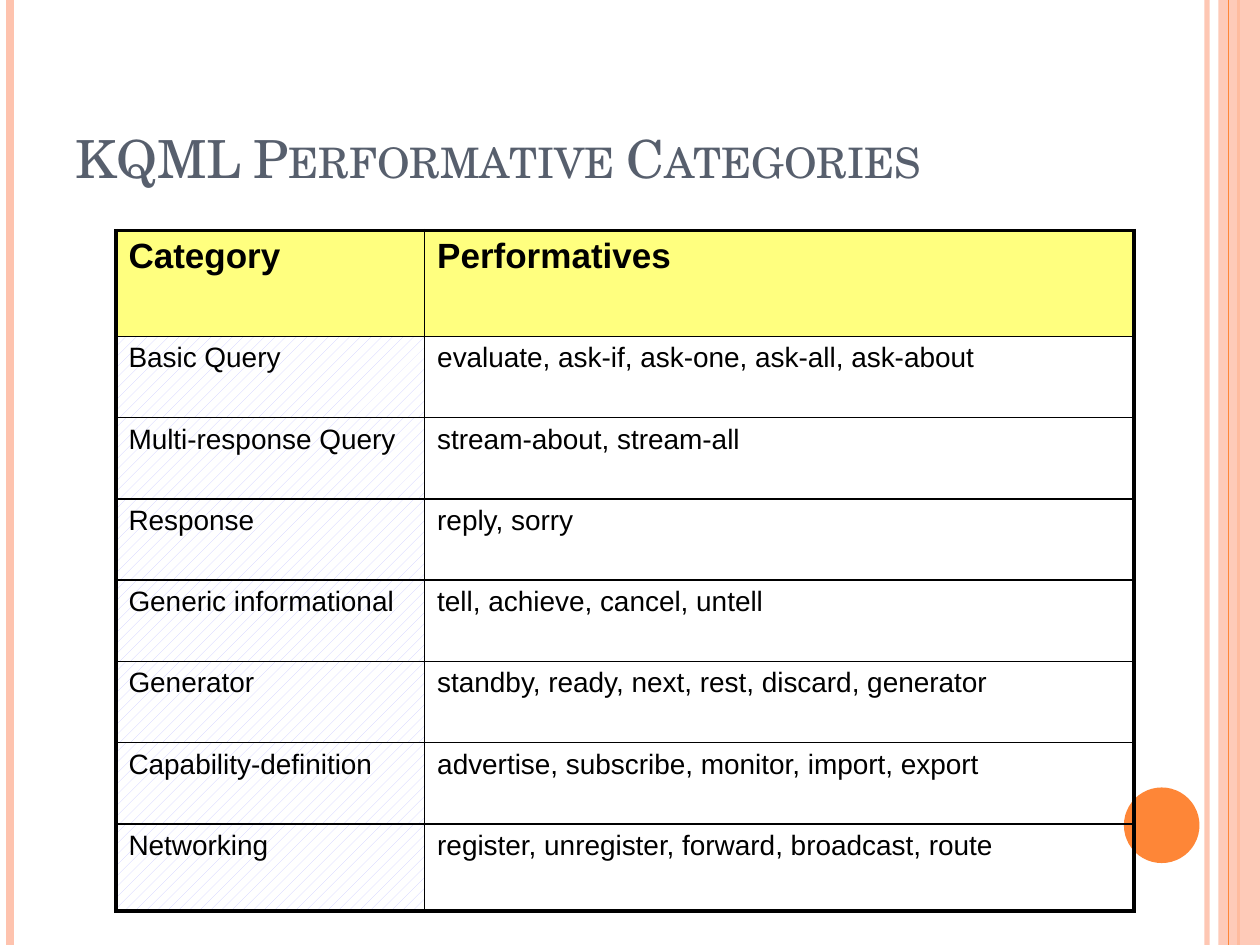
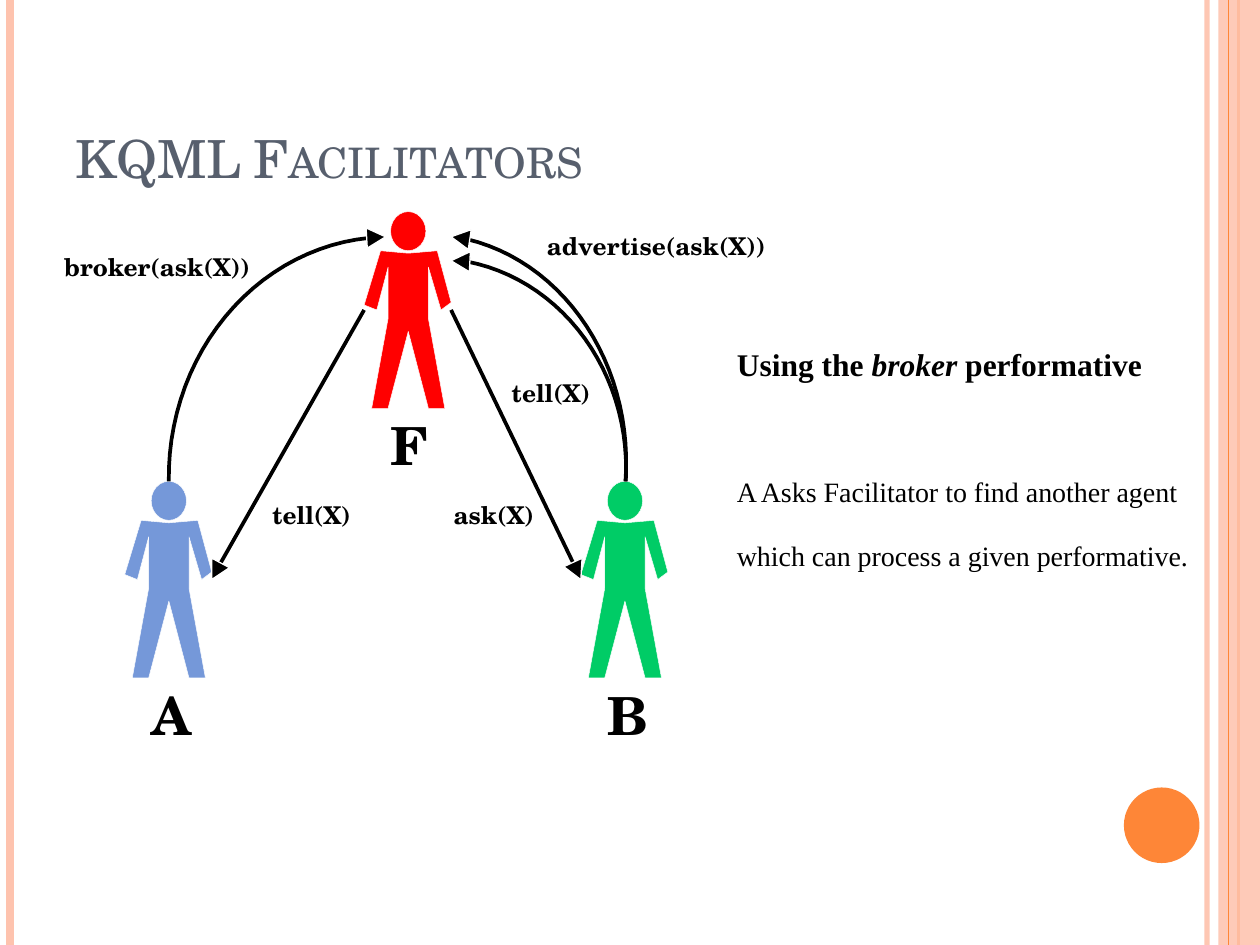
"""Build two slides on KQML: performative categories and facilitators."""
from math import acos, asin, cos, hypot, sin

from lxml.etree import SubElement
from pptx import Presentation
from pptx.dml.color import RGBColor
from pptx.enum.dml import MSO_PATTERN
from pptx.enum.shapes import MSO_CONNECTOR, MSO_SHAPE
from pptx.enum.text import MSO_ANCHOR, PP_ALIGN
from pptx.oxml import parse_xml
from pptx.oxml.ns import nsdecls, qn
from pptx.util import Inches, Pt

COLORS = {
    "title": "575F6D", "ink": "000000", "white": "FFFFFF",
    "peach": "FEC3AE", "orange": "FE8637",
    "header": "FFFF00", "hatch": "CCCCFF",
    "blue": "7598D9", "green": "00CC66", "red": "FF0000",
}
SERIF, SANS, ROMAN = "TeX Gyre Schola", "Arial", "Times New Roman"

EDGE_LINES = [
    (9.58, "peach", 3, 93), (0.08, "peach", 4.5, 100), (9.83, "orange", 1.5, 100),
]
INNER_EDGE_LINE = (9.75, "orange", 0.75, 100)

CATEGORIES = [
    ("Category", "Performatives"),
    ("Basic Query", "evaluate, ask-if, ask-one, ask-all, ask-about"),
    ("Multi-response Query", "stream-about, stream-all"),
    ("Response", "reply, sorry"),
    ("Generic informational", "tell, achieve, cancel, untell"),
    ("Generator", "standby, ready, next, rest, discard, generator"),
    ("Capability-definition", "advertise, subscribe, monitor, import, export"),
    ("Networking", "register, unregister, forward, broadcast, route"),
]
COLUMN_WIDTHS = (2.45, 5.63)
ROW_HEIGHTS = [0.84] + [0.645] * 6 + [0.69]
OUTER_BORDER, INNER_BORDER = 2.25, 1

AGENTS = [("A", 0.99, 3.82, "blue"), ("B", 4.61, 3.82, "green"), ("F", 2.89, 1.68, "red")]
BODY = [
    (0.35, 0.95), (0.51, 1.56), (0.64, 1.56), (0.51, 0.85), (0.51, 0.44), (0.61, 0.78),
    (0.69, 0.72), (0.58, 0.31), (0.35, 0.33), (0.13, 0.31), (0, 0.74), (0.1, 0.78),
    (0.19, 0.44), (0.19, 0.85), (0.06, 1.56), (0.19, 1.56),
]
STRAIGHT_MESSAGES = [
    ((2.89, 2.46), (1.75, 4.47), (1.68, 4.6)),
    ((3.58, 2.46), (4.55, 4.47), (4.61, 4.6)),
]
CURVED_MESSAGES = [
    {"center": (3.09, 3.79), "radii": (1.75, 1.91), "side": -1, "end_x": 2.93, "tip": (3.06, 1.88)},
    {"center": (3.44, 3.72), "radii": (1.53, 1.67), "side": 1, "end_x": 3.71, "tip": (3.58, 2.07)},
    {"center": (3.38, 3.67), "radii": (1.59, 1.81), "side": 1, "end_x": 3.71, "tip": (3.58, 1.88)},
]
CURVE_START_Y, CURVE_STEPS = 3.82, 26
MESSAGE_LABELS = [
    ("tell(X)", 2.16, 3.97, 0.63), ("ask(X)", 3.6, 3.97, 0.65),
    ("broker(ask(X))", 0.51, 2, 1.49), ("advertise(ask(X))", 4.34, 1.83, 1.75),
    ("tell(X)", 4.06, 3, 0.63),
]
HEADLINE = [("Using the ", False), ("broker", True), (" performative", False)]
EXPLANATION = "A Asks Facilitator to find another agent which can process a given performative."


def rgb(name):
    return RGBColor.from_string(COLORS[name])


def style(font, face, size, color="ink", bold=False):
    font.name, font.size, font.bold = face, Pt(size), bold
    font.color.rgb = rgb(color)


def set_alpha(element, percent):
    for color in list(element.iter(qn("a:srgbClr"))):
        SubElement(color, qn("a:alpha")).set("val", str(percent * 1000))


def paint(shape, fill=None, line=None, width=0.75):
    shape.shadow.inherit = False
    if fill:
        shape.fill.solid()
        shape.fill.fore_color.rgb = rgb(fill)
    else:
        shape.fill.background()
    if line:
        shape.line.color.rgb = rgb(line)
        shape.line.width = Pt(width)
    else:
        shape.line.fill.background()


def add_line(slide, start, end, color, width, alpha=100):
    ends = [Inches(v) for v in (*start, *end)]
    line = slide.shapes.add_connector(MSO_CONNECTOR.STRAIGHT, *ends)
    line.line.color.rgb = rgb(color)
    line.line.width = Pt(width)
    properties = line._element.spPr
    if alpha < 100:
        set_alpha(properties, alpha)
    SubElement(properties, qn("a:effectLst"))


def add_preset(slide, kind, box, fill, line=None, width=0.75):
    shape = slide.shapes.add_shape(kind, *[Inches(v) for v in box])
    paint(shape, fill, line, width)
    return shape


def add_outline(slide, points, close=True, **look):
    first, *rest = [(Inches(x), Inches(y)) for x, y in points]
    builder = slide.shapes.build_freeform(*first)
    builder.add_line_segments(rest, close=close)
    paint(builder.convert_to_shape(), **look)


def add_slide(deck, heading):
    slide = deck.slides.add_slide(deck.slide_layouts[5])
    for x, color, width, alpha in EDGE_LINES:
        add_line(slide, (x, 0), (x, 7.5), color, width, alpha)
    band = add_preset(slide, MSO_SHAPE.RECTANGLE, (9.67, 0, 0.33, 7.5), "peach")
    set_alpha(band._element.spPr, 87)
    x, color, width, alpha = INNER_EDGE_LINE
    add_line(slide, (x, 0), (x, 7.5), color, width, alpha)
    add_preset(slide, MSO_SHAPE.OVAL, (8.92, 6.25, 0.6, 0.6), "orange")

    title = slide.shapes.title
    title.left, title.top, title.width, title.height = [Inches(v) for v in (0.5, 0.3, 8.17, 1.25)]
    title.text_frame.text = heading
    title.text_frame.vertical_anchor = MSO_ANCHOR.BOTTOM
    paragraph = title.text_frame.paragraphs[0]
    paragraph.alignment = PP_ALIGN.LEFT
    style(paragraph.font, SERIF, 30, "title")
    paragraph.runs[0]._r.get_or_add_rPr().set("cap", "small")
    return slide


def set_borders(cell, widths):
    properties = cell._tc.get_or_add_tcPr()
    for position, (side, width) in enumerate(zip("LRTB", widths)):
        properties.insert(position, parse_xml(
            f'<a:ln{side} {nsdecls("a")} w="{Pt(width)}"><a:solidFill>'
            f'<a:srgbClr val="{COLORS["ink"]}"/></a:solidFill></a:ln{side}>'))


def fill_cell(cell, row, column):
    if row == 0:
        cell.fill.solid()
        cell.fill.fore_color.rgb = rgb("header")
        set_alpha(cell._tc.tcPr, 50)
    elif column == 0:
        cell.fill.patterned()
        cell.fill.pattern = MSO_PATTERN.PERCENT_20
        cell.fill.fore_color.rgb = rgb("hatch")
        cell.fill.back_color.rgb = rgb("white")
    else:
        cell.fill.background()


def add_categories(slide):
    box = (0.92, 1.83, sum(COLUMN_WIDTHS), sum(ROW_HEIGHTS))
    table = slide.shapes.add_table(
        len(CATEGORIES), len(COLUMN_WIDTHS), *[Inches(v) for v in box]).table
    table.first_row = table.horz_banding = False
    for column, width in zip(table.columns, COLUMN_WIDTHS):
        column.width = Inches(width)
    for row, height in zip(table.rows, ROW_HEIGHTS):
        row.height = Inches(height)
    last_row, last_column = len(CATEGORIES) - 1, len(COLUMN_WIDTHS) - 1
    for r, texts in enumerate(CATEGORIES):
        for c, text in enumerate(texts):
            cell = table.cell(r, c)
            cell.text = text
            style(cell.text_frame.paragraphs[0].font, SANS, 16 if r else 20, bold=r == 0)
            fill_cell(cell, r, c)
            outer = (c == 0, c == last_column, r == 0, r == last_row)
            set_borders(cell, [OUTER_BORDER if edge else INNER_BORDER for edge in outer])


def add_label(slide, text, box, size, alignment=PP_ALIGN.LEFT):
    frame = slide.shapes.add_textbox(*[Inches(v) for v in box]).text_frame
    frame.margin_left = frame.margin_right = frame.margin_top = frame.margin_bottom = 0
    frame.word_wrap = False
    frame.text = text
    frame.paragraphs[0].alignment = alignment
    style(frame.paragraphs[0].font, SERIF, size, bold=True)


def add_agent(slide, name, x, y, color):
    add_preset(slide, MSO_SHAPE.OVAL, (x + 0.21, y, 0.28, 0.31), color, "white", 0.25)
    add_outline(slide, [(x + dx, y + dy) for dx, dy in BODY], fill=color, line="white", width=0.25)
    add_label(slide, name, (x + 0.21, y + 1.6, 0.3, 0.5), 30, PP_ALIGN.CENTER)


def add_arrowhead(slide, tip, shaft_end, length=0.15, half_width=0.08):
    dx, dy = shaft_end[0] - tip[0], shaft_end[1] - tip[1]
    distance = hypot(dx, dy)
    ux, uy = dx / distance, dy / distance
    base_x, base_y = tip[0] + ux * length, tip[1] + uy * length
    corners = [(base_x - s * uy * half_width, base_y + s * ux * half_width) for s in (1, -1)]
    add_outline(slide, [tip, *corners], fill="ink", line="white")


def arc_points(center, radii, side, end_x):
    (cx, cy), (rx, ry) = center, radii
    first = asin((cy - CURVE_START_Y) / ry)
    last = acos(side * (end_x - cx) / rx)
    angles = [first + (last - first) * i / CURVE_STEPS for i in range(CURVE_STEPS + 1)]
    return [(cx + side * rx * cos(a), cy - ry * sin(a)) for a in angles]


def add_explanation(slide):
    box = [Inches(v) for v in (5.75, 2.42, 3.83, 2.96)]
    frame = slide.shapes.add_textbox(*box).text_frame
    frame.word_wrap = True
    headline, explanation = frame.paragraphs[0], frame.add_paragraph()
    for text, italic in HEADLINE:
        run = headline.add_run()
        run.text = text
        run.font.italic = italic
    explanation.text = EXPLANATION
    style(headline.font, ROMAN, 18, bold=True)
    style(explanation.font, ROMAN, 16)
    headline.line_spacing = explanation.line_spacing = 1.9
    headline.space_after = Pt(35)


def add_facilitators(slide):
    for agent in AGENTS:
        add_agent(slide, *agent)
    for start, end, tip in STRAIGHT_MESSAGES:
        add_line(slide, start, end, "ink", 2.13)
        add_arrowhead(slide, tip, end)
    for message in CURVED_MESSAGES:
        arc = arc_points(*[message[key] for key in ("center", "radii", "side", "end_x")])
        add_outline(slide, arc, close=False, line="ink", width=2.13)
        add_arrowhead(slide, message["tip"], arc[-1])
    for text, x, y, width in MESSAGE_LABELS:
        add_label(slide, text, (x, y, width, 0.24), 14)
    add_explanation(slide)


def main():
    deck = Presentation()
    deck.slide_width, deck.slide_height = Inches(10), Inches(7.5)
    add_categories(add_slide(deck, "KQML Performative Categories"))
    add_facilitators(add_slide(deck, "KQML Facilitators"))
    deck.save("out.pptx")


if __name__ == "__main__":
    main()
